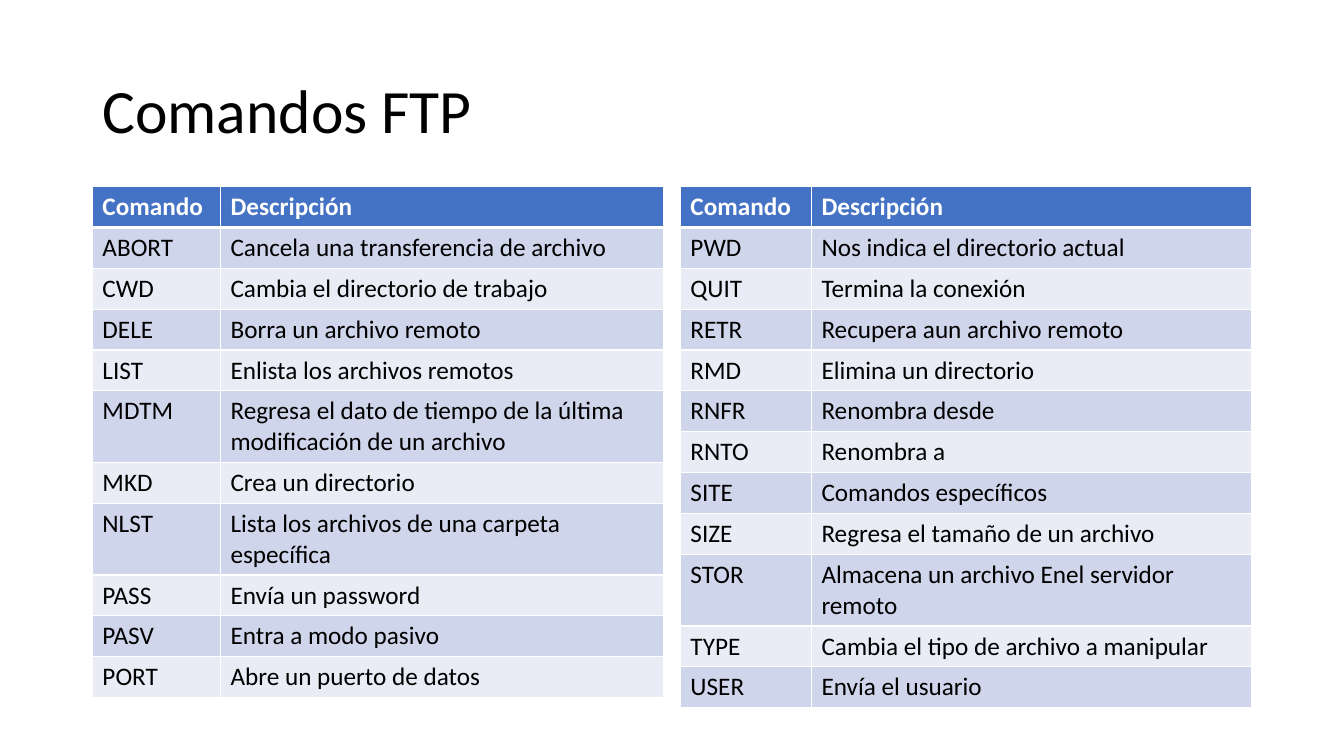
from dataclasses import dataclass

from lxml.etree import SubElement
from pptx import Presentation
from pptx.dml.color import RGBColor
from pptx.enum.text import MSO_ANCHOR, MSO_AUTO_SIZE, PP_ALIGN
from pptx.oxml.ns import qn
from pptx.slide import Slide
from pptx.table import _Cell
from pptx.text.text import _Paragraph
from pptx.util import Inches, Pt

# Grid: 160 columns by 150 rows over the whole slide
SLIDE_W, SLIDE_H = 13.33, 7.5
MARGIN, CONTENT, TABLE_COLS, GUTTER = 11, 138, 68, 2
TITLE_TOP, TITLE_ROWS, LINE_ROWS = 8, 29, 8.1

FONT = "Calibri"
WHITE, BLACK = "FFFFFF", "000000"
HEADER_FILL = "4472C4"
BAND_FILLS = ("E9EBF5", "CFD5EA")
HEADINGS = ("Comando", "Descripción")


@dataclass
class CommandTable:
    left: float
    command_cols: float
    commands: list[tuple[str, str]]


COMMAND_TABLES = [
    CommandTable(MARGIN, 15.25, [
        ("ABORT", "Cancela una transferencia de archivo"),
        ("CWD", "Cambia el directorio de trabajo"),
        ("DELE", "Borra un archivo remoto"),
        ("LIST", "Enlista los archivos remotos"),
        ("MDTM", "Regresa el dato de tiempo de la última modificación de un archivo"),
        ("MKD", "Crea un directorio"),
        ("NLST", "Lista los archivos de una carpeta específica"),
        ("PASS", "Envía un password"),
        ("PASV", "Entra a modo pasivo"),
        ("PORT", "Abre un puerto de datos"),
    ]),
    CommandTable(MARGIN + TABLE_COLS + GUTTER, 15.6, [
        ("PWD", "Nos indica el directorio actual"),
        ("QUIT", "Termina la conexión"),
        ("RETR", "Recupera aun archivo remoto"),
        ("RMD", "Elimina un directorio"),
        ("RNFR", "Renombra desde"),
        ("RNTO", "Renombra a"),
        ("SITE", "Comandos específicos"),
        ("SIZE", "Regresa el tamaño de un archivo"),
        ("STOR", "Almacena un archivo Enel servidor remoto"),
        ("TYPE", "Cambia el tipo de archivo a manipular"),
        ("USER", "Envía el usuario"),
    ]),
]


def cols(count: float) -> int:
    return Inches(SLIDE_W * count / 160)


def rows(count: float) -> int:
    return Inches(SLIDE_H * count / 150)


def color(value: str) -> RGBColor:
    return RGBColor.from_string(value)


def format_text(paragraph: _Paragraph, size: int, text_color: str, bold: bool = False) -> None:
    for run in paragraph.runs:
        run.font.name = FONT
        run.font.size = Pt(size)
        run.font.bold = bold
        run.font.color.rgb = color(text_color)


def add_borders(cell: _Cell, top: int, bottom: int) -> None:
    properties = cell._tc.get_or_add_tcPr()
    for side, width in (("L", 1), ("R", 1), ("T", top), ("B", bottom)):
        line = SubElement(properties, qn(f"a:ln{side}"), w=str(Pt(width)))
        fill = SubElement(line, qn("a:solidFill"))
        SubElement(fill, qn("a:srgbClr"), val=WHITE)


def add_title(slide: Slide, text: str) -> None:
    title = slide.shapes.title
    title.left, title.top = cols(MARGIN), rows(TITLE_TOP)
    title.width, title.height = cols(CONTENT), rows(TITLE_ROWS)
    frame = title.text_frame
    frame.text = text
    frame.auto_size = MSO_AUTO_SIZE.NONE
    frame.vertical_anchor = MSO_ANCHOR.MIDDLE
    heading = frame.paragraphs[0]
    heading.alignment = PP_ALIGN.LEFT
    heading.line_spacing = 0.9
    format_text(heading, 44, BLACK)


def add_command_table(slide: Slide, spec_table: CommandTable) -> None:
    entries = [HEADINGS, *spec_table.commands]
    table = slide.shapes.add_table(
        len(entries), len(HEADINGS), cols(spec_table.left), rows(TITLE_TOP + TITLE_ROWS),
        cols(TABLE_COLS), rows(LINE_ROWS * len(entries))).table
    table.columns[0].width = cols(spec_table.command_cols)
    table.columns[1].width = cols(TABLE_COLS - spec_table.command_cols)

    for row, entry in enumerate(entries):
        is_header = row == 0
        table.rows[row].height = rows(LINE_ROWS)
        for column, text in enumerate(entry):
            cell = table.cell(row, column)
            cell.text_frame.text = text
            format_text(cell.text_frame.paragraphs[0], 18,
                        WHITE if is_header else BLACK, is_header)
            # The rule under the header is thicker than the others
            add_borders(cell, top=3 if row == 1 else 1, bottom=3 if is_header else 1)
            cell.fill.solid()
            cell.fill.fore_color.rgb = color(HEADER_FILL if is_header else BAND_FILLS[row % 2])


def main() -> None:
    deck = Presentation()
    deck.slide_width, deck.slide_height = Inches(SLIDE_W), Inches(SLIDE_H)
    slide = deck.slides.add_slide(deck.slide_layouts[5])
    add_title(slide, "Comandos FTP")
    for command_table in COMMAND_TABLES:
        add_command_table(slide, command_table)
    deck.save("out.pptx")


if __name__ == "__main__":
    main()
